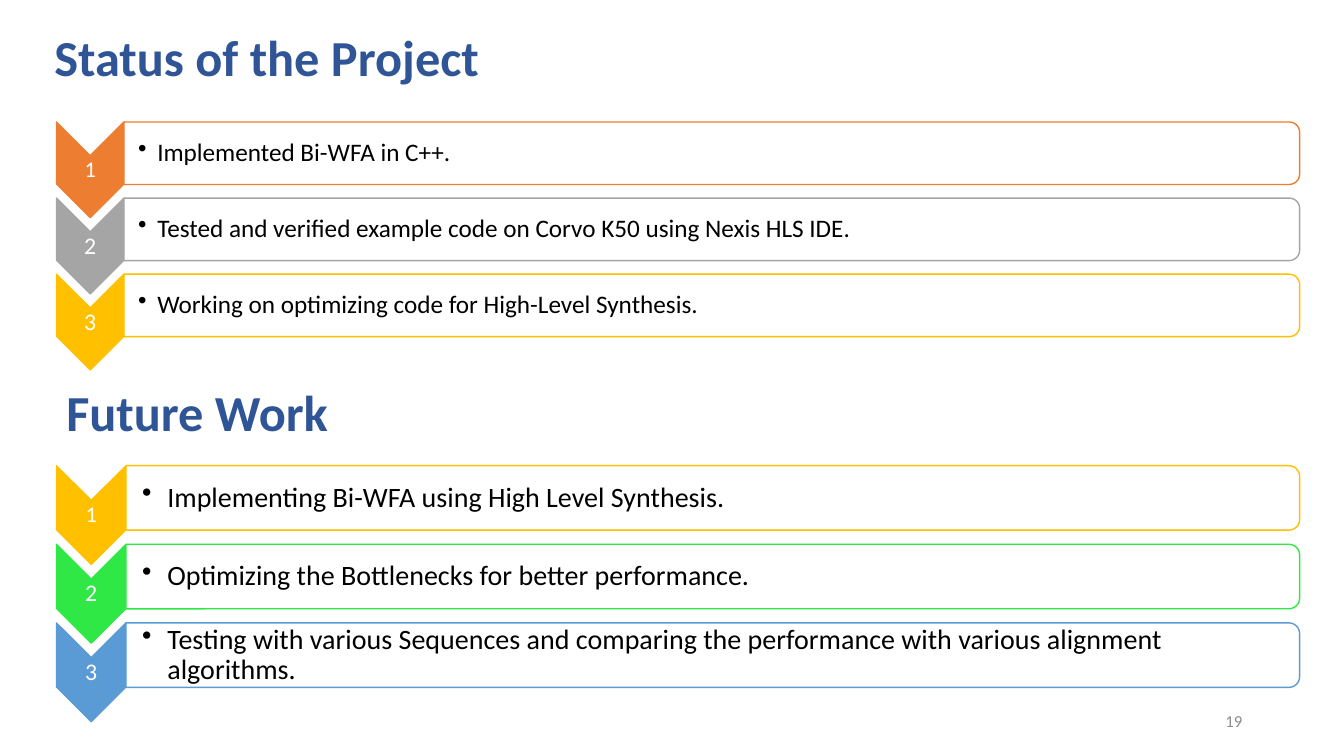
from pptx import Presentation
from pptx.dml.color import RGBColor
from pptx.enum import shapes, text
from pptx.oxml import parse_xml
from pptx.oxml.ns import nsdecls, qn
from pptx.util import Inches, Pt

NAVY = RGBColor(0x2F, 0x55, 0x97)
ORANGE = RGBColor(0xED, 0x7D, 0x31)
GRAY = RGBColor(0xA5, 0xA5, 0xA5)
GOLD = RGBColor(0xFF, 0xC0, 0x00)
GREEN = RGBColor(0x30, 0xE8, 0x45)
BLUE = RGBColor(0x5B, 0x9B, 0xD5)
DIM = RGBColor(0x8C, 0x8C, 0x8C)
WHITE = RGBColor(0xFF, 0xFF, 0xFF)
BLACK = RGBColor(0x00, 0x00, 0x00)

LEFT, RIGHT = 0.56, 12.89

STATUS = [
    (ORANGE, "Implemented Bi-WFA in C++."),
    (GRAY, "Tested and verified example code on Corvo K50 using Nexis HLS IDE."),
    (GOLD, "Working on optimizing code for High-Level Synthesis."),
]
FUTURE = [
    (GOLD, "Implementing Bi-WFA using High Level Synthesis."),
    (GREEN, "Optimizing the Bottlenecks for better performance."),
    (BLUE, "Testing with various Sequences and comparing the performance "
           "with various alignment algorithms."),
]


def add_text(slide, box, words, size, color, align=None, pad=None, space=0.9):
    """Add a one-paragraph text box; pad is (left inset, other insets)."""
    shape = slide.shapes.add_textbox(*map(Inches, box))
    frame = shape.text_frame
    frame.word_wrap = True
    frame.vertical_anchor = text.MSO_ANCHOR.MIDDLE
    if pad:
        frame.margin_left = Inches(pad[0])
        frame.margin_right = Inches(pad[1])
        frame.margin_top = frame.margin_bottom = Inches(pad[1])
    para = frame.paragraphs[0]
    para.text = words
    para.alignment = align
    para.line_spacing = space
    para.font.name = "Calibri"
    para.font.size = Pt(size)
    para.font.color.rgb = color
    return para


def add_title(slide, box, words):
    add_text(slide, box, words, 36, NAVY).font.bold = True


def add_bullet(para, indent):
    props = para._p.get_or_add_pPr()
    props.set("marL", str(Inches(indent)))
    props.set("indent", str(-Inches(indent)))
    props.append(parse_xml(f'<a:buChar {nsdecls("a")} char="•"/>'))


def add_turned(slide, kind, box, fill, line):
    """Add a shape turned a quarter, so that it covers box as seen."""
    x, y, w, h = box
    shape = slide.shapes.add_shape(
        kind, Inches(x + (w - h) / 2), Inches(y + (h - w) / 2),
        Inches(h), Inches(w))
    shape.rotation = 90
    shape.shadow.inherit = False
    shape.fill.solid()
    shape.fill.fore_color.rgb = fill
    shape.line.color.rgb = line
    shape.line.width = Pt(1)
    return shape


def set_alpha(shape, percent):
    color = shape._element.spPr.find(qn("a:solidFill"))[0]
    color.append(parse_xml(
        f'<a:alpha {nsdecls("a")} val="{percent * 1000}"/>'))


def add_steps(slide, steps, top, pitch, arrow, bar, size, inset, indent):
    """Stack numbered chevrons, each with a bar of text on its right."""
    wide, tall = arrow
    start = LEFT + wide
    for i, (color, words) in enumerate(steps):
        y = top + i * pitch
        # Chevron and number
        add_turned(slide, shapes.MSO_SHAPE.CHEVRON,
                   (LEFT, y, wide, tall), color, color)
        add_text(slide, (LEFT, y + wide / 2, wide, 0.29), str(i + 1),
                 17 if i else 16, WHITE, text.PP_ALIGN.CENTER, (0.01, 0.01))
        # Bar and text
        panel = add_turned(slide, shapes.MSO_SHAPE.ROUND_2_SAME_RECTANGLE,
                           (start, y, RIGHT - start, bar), WHITE, color)
        set_alpha(panel, 90)
        para = add_text(slide, (start, y + 0.03, RIGHT - start - 0.03,
                                bar - 0.06),
                        words, size, BLACK, pad=(inset, 0.01))
        add_bullet(para, indent)


def main():
    deck = Presentation()
    deck.slide_width, deck.slide_height = Inches(13.33), Inches(7.5)
    slide = deck.slides.add_slide(deck.slide_layouts[6])

    # Status
    add_title(slide, (0.44, 0.15, 11.5, 0.9), "Status of the Project")
    add_steps(slide, STATUS, top=1.21, pitch=0.755, arrow=(0.67, 0.95),
              bar=0.62, size=18, inset=0.14, indent=0.19)

    # Future work
    add_title(slide, (0.56, 3.75, 11.5, 0.74), "Future Work")
    add_steps(slide, FUTURE, top=4.62, pitch=0.78, arrow=(0.69, 0.98),
              bar=0.64, size=20, inset=0.16, indent=0.25)

    # Slide number
    add_text(slide, (9.42, 6.95, 3, 0.4), "19", 12, DIM,
             text.PP_ALIGN.RIGHT, space=1.0)

    deck.save("out.pptx")


if __name__ == "__main__":
    main()
